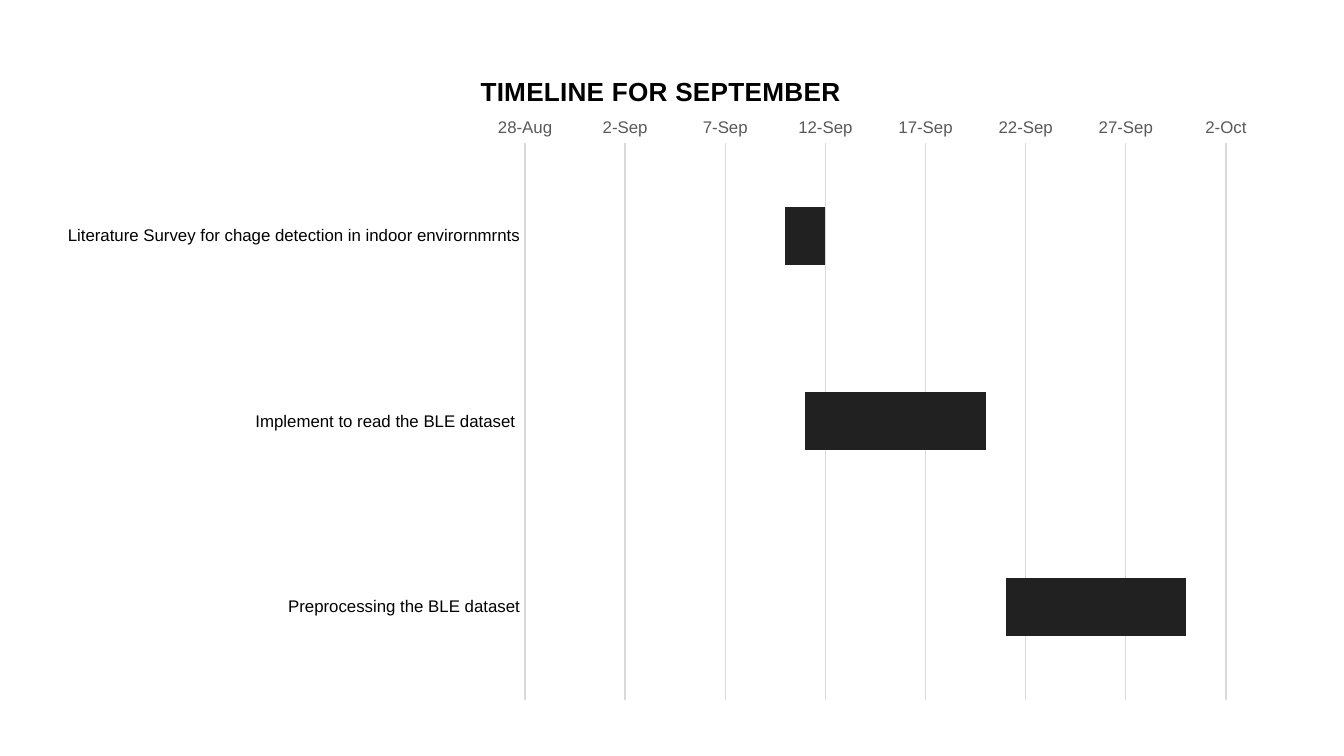
from pptx import Presentation
from pptx.chart.data import CategoryChartData as ChartData
from pptx.dml.color import RGBColor
from pptx.enum.chart import XL_CHART_TYPE as ChartType, XL_TICK_MARK as TickMark
from pptx.oxml import parse_xml
from pptx.oxml.ns import nsdecls, qn
from pptx.util import Cm, Pt

TASKS = [
    ("Literature Survey for chage detection in indoor envirornmrnts", 43718, 2),
    ("Implement to read the BLE dataset ", 43719, 9),
    ("Preprocessing the BLE dataset", 43729, 9),
]
FIRST_DAY, LAST_DAY, DAY_STEP = 43705, 43740, 5
BLACK, GREY, GRID, BAR = "000000", "595959", "D9D9D9", "212121"


def colour(value):
    """Turn a hex string into a colour."""
    return RGBColor.from_string(value)


def style_font(font, size, value, bold=False):
    """Set the typeface, size, colour and weight of a font."""
    font.name, font.size, font.bold = "Arial", Pt(size), bold
    font.color.rgb = colour(value)


def style_line(line, value):
    """Draw a thin line in one colour."""
    line.color.rgb = colour(value)
    line.width = Pt(0.75)


def set_layout(parent, index, **fractions):
    """Fix a chart part at fractions of the chart box."""
    for old in parent.findall(qn("c:layout")):
        parent.remove(old)
    target = '<c:layoutTarget val="inner"/>' if "w" in fractions else ""
    modes = "".join(f'<c:{key}Mode val="edge"/>' for key in "xy")
    sizes = "".join(f'<c:{key} val="{value}"/>' for key, value in fractions.items())
    parent.insert(index, parse_xml(
        f'<c:layout {nsdecls("c")}><c:manualLayout>{target}{modes}{sizes}'
        "</c:manualLayout></c:layout>"))


def style_axes(chart):
    """Format the task axis and the date axis."""
    tasks, dates = chart.category_axis, chart.value_axis
    for axis, value in ((tasks, BLACK), (dates, GREY)):
        axis.major_tick_mark = axis.minor_tick_mark = TickMark.NONE
        style_font(axis.tick_labels.font, 9, value)
    tasks.reverse_order = True
    tasks.has_major_gridlines = False
    style_line(tasks.format.line, GRID)
    dates.minimum_scale, dates.maximum_scale = FIRST_DAY, LAST_DAY
    dates.major_unit = DAY_STEP
    dates.format.line.fill.background()
    dates.has_major_gridlines = True
    style_line(dates.major_gridlines.format.line, GRID)
    dates.tick_labels.number_format = "d\\-mmm"
    dates.tick_labels.number_format_is_linked = False


def add_title(chart, text):
    """Write the chart title."""
    chart.has_title = True
    para = chart.chart_title.text_frame.paragraphs[0]
    span = para.add_run()
    span.text = text
    style_font(span.font, 14, BLACK, True)
    chart.chart_title.include_in_layout = False


def add_timeline(page, left, top, width, height):
    """Add the task timeline as stacked bars in the given box."""
    names, starts, lengths = zip(*TASKS)
    data = ChartData()
    data.categories = names
    data.add_series("Series 1", starts)
    data.add_series("Series 2", lengths)
    chart = page.shapes.add_chart(
        ChartType.BAR_STACKED, left, top, width, height, data).chart
    style_font(chart.font, 10, BLACK)
    chart.has_legend = False
    add_title(chart, "TIMELINE FOR SEPTEMBER")
    style_axes(chart)
    plot = chart.plots[0]
    plot.gap_width, plot.overlap, plot.vary_by_categories = 221, 100, False
    offset, duration = plot.series
    offset.format.fill.background()
    offset.format.line.fill.background()
    duration.format.fill.solid()
    duration.format.fill.fore_color.rgb = colour(BAR)
    root = chart.element
    set_layout(root.find(".//" + qn("c:plotArea")), 0, x=0.39, y=0.15, w=0.57, h=0.83)
    set_layout(root.find(".//" + qn("c:title")), 1, x=0.35, y=0.04)


def main():
    """Build and save the deck."""
    deck = Presentation()
    deck.slide_width, deck.slide_height = Cm(25.4), Cm(14.29)
    page = deck.slides.add_slide(deck.slide_layouts[6])
    add_timeline(page, Cm(0.86), Cm(0.81), Cm(23.24), Cm(12.67))
    deck.save("out.pptx")


main()
